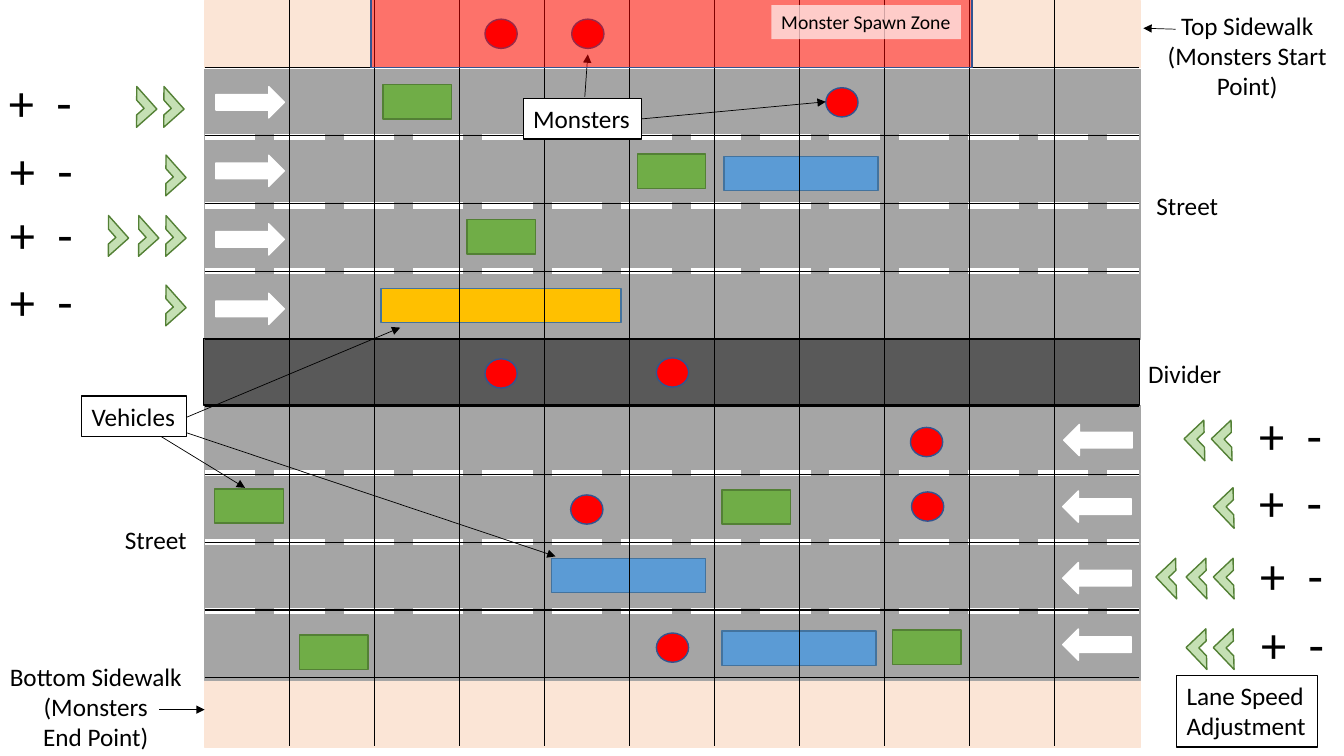
from lxml.etree import SubElement
from pptx import Presentation
from pptx.dml.color import RGBColor
from pptx.enum.dml import MSO_LINE
from pptx.enum.shapes import MSO_CONNECTOR, MSO_SHAPE as Preset
from pptx.enum.text import MSO_ANCHOR, MSO_AUTO_SIZE, PP_ALIGN
from pptx.oxml.ns import qn
from pptx.util import Inches, Pt

BLACK = RGBColor(0x00, 0x00, 0x00)
WHITE = RGBColor(0xFF, 0xFF, 0xFF)
ASPHALT = RGBColor(0xA5, 0xA5, 0xA5)
DIVIDER = RGBColor(0x59, 0x59, 0x59)
SIDEWALK = RGBColor(0xFB, 0xE5, 0xD6)
RED = RGBColor(0xFF, 0x00, 0x00)
NAVY = RGBColor(0x32, 0x54, 0x91)
GREEN = RGBColor(0x70, 0xAD, 0x47)
DARK_GREEN = RGBColor(0x53, 0x80, 0x35)
PALE_GREEN = RGBColor(0xC5, 0xE0, 0xB4)
BLUE = RGBColor(0x5B, 0x9B, 0xD5)
DARK_BLUE = RGBColor(0x43, 0x73, 0x9E)
YELLOW = RGBColor(0xFF, 0xC0, 0x00)

ROAD_LEFT, ROAD_RIGHT, ROAD_WIDTH = 2.03, 11.3, 9.28
GRID_COUNT, GRID_WIDTH, GRID_HEIGHT = 11, 9.27, 7.4
LANE_HEIGHT = 0.68
PLAIN_TABLE_STYLE = "{2D5ABB26-0587-4C30-8999-92F81FD0307C}"

# lane top, arrow left and top, speed sign left and top, chevron top and lefts
EASTBOUND = [
    (0.69, 2.14, 0.86, -0.01, 0.66, 0.91, [1.49, 1.22]),
    (1.36, 2.14, 1.54, 0, 1.33, 1.59, [1.51]),
    (2.04, 2.14, 2.22, 0, 1.97, 2.19, [1.51, 1.24, 0.94]),
    (2.69, 2.14, 2.91, 0, 2.63, 2.88, [1.51]),
]
WESTBOUND = [
    (4.02, 10.55, 4.21, 12.39, 3.96, 4.22, [12.08, 11.81]),
    (4.71, 10.54, 4.87, 12.39, 4.62, 4.89, [12.1]),
    (5.4, 10.54, 5.58, 12.4, 5.35, 5.59, [12.1, 11.83, 11.53]),
    (6.07, 10.54, 6.24, 12.41, 6.03, 6.29, [12.1, 11.83]),
]
LANE_MARKINGS = [1.36, 2.04, 2.69, 4.69, 5.38, 6.06]
CARS = [(2.97, 6.3), (3.8, 0.84), (8.85, 6.25), (2.13, 4.85),
        (7.16, 4.86), (6.32, 1.53), (4.63, 2.18)]
TRUCKS = [(7.18, 1.55), (5.47, 5.54), (7.16, 6.26)]
BUSES = [(3.78, 2.86)]
FLEET = [(CARS, 0.68, GREEN, DARK_GREEN), (TRUCKS, 1.53, BLUE, DARK_BLUE),
         (BUSES, 2.38, YELLOW, DARK_BLUE)]
MONSTERS = [(6.51, 3.55), (6.51, 6.28), (9.03, 4.24), (9.04, 4.88), (5.66, 4.91),
            (4.81, 3.56), (8.19, 0.87), (5.67, 0.19), (4.81, 0.19)]
POINTERS = [
    ((1.58, 4.32), (2.43, 4.84)), ((1.81, 4.28), (5.51, 5.52)),
    ((1.85, 4.14), (3.97, 3.25)), ((11.66, 0.29), (11.34, 0.28)),
    ((1.58, 7.04), (2.03, 7.04)), ((5.8, 0.96), (5.83, 0.54)),
    ((6.36, 1.18), (8.19, 1.01)),
]


def add_block(slide, preset, box, fill, line=None, rotation=0, opacity=100):
    block = slide.shapes.add_shape(preset, *map(Inches, box))
    block.shadow.inherit = False
    block.rotation = rotation
    block.fill.solid()
    block.fill.fore_color.rgb = fill
    if opacity < 100:
        color = block.fill._xPr.find(qn("a:solidFill"))[0]
        SubElement(color, qn("a:alpha"), val=str(opacity * 1000))
    if line is None:
        block.line.fill.background()
    else:
        block.line.color.rgb = line
        block.line.width = Pt(1)
    return block


def write(holder, text, size=18, align=PP_ALIGN.LEFT, wrap=False, spacing=0):
    frame = holder.text_frame
    frame.word_wrap = wrap
    frame.auto_size = MSO_AUTO_SIZE.SHAPE_TO_FIT_TEXT
    frame.vertical_anchor = MSO_ANCHOR.TOP
    for index, wording in enumerate(text.split("\n")):
        paragraph = frame.add_paragraph() if index else frame.paragraphs[0]
        paragraph.alignment = align
        run = paragraph.add_run()
        run.text = wording
        run.font.name = "Calibri"
        run.font.size = Pt(size)
        run.font.color.rgb = BLACK
        if spacing:
            run._r.get_or_add_rPr().set("spc", str(spacing * 100))


def add_label(slide, box, text, **style):
    write(slide.shapes.add_textbox(*map(Inches, box)), text, **style)


def add_boxed_label(slide, box, text):
    write(add_block(slide, Preset.RECTANGLE, box, WHITE, BLACK), text)


def add_line(slide, start, end, color, width, dash=None, arrow=False):
    line = slide.shapes.add_connector(MSO_CONNECTOR.STRAIGHT, *map(Inches, start + end))
    line.line.color.rgb = color
    line.line.width = Pt(width)
    if dash is not None:
        line.line.dash_style = dash
    if arrow:
        SubElement(line.line._get_or_add_ln(), qn("a:tailEnd"), type="triangle")
    SubElement(line._element.spPr, qn("a:effectLst"))


def add_lane_controls(slide, lanes, arrow_turn, chevron_turn):
    for _, arrow_x, arrow_y, sign_x, sign_y, chevron_y, chevrons in lanes:
        add_block(slide, Preset.RIGHT_ARROW, (arrow_x, arrow_y, 0.68, 0.31),
                  WHITE, WHITE, arrow_turn)
        add_label(slide, (sign_x, sign_y, 0.83, 0.71), "+ -", size=36, spacing=4)
        for chevron_x in chevrons:
            add_block(slide, Preset.HALF_FRAME, (chevron_x, chevron_y, 0.27, 0.3),
                      PALE_GREEN, DARK_GREEN, chevron_turn)


def add_grid(slide):
    frame = slide.shapes.add_table(GRID_COUNT, GRID_COUNT, Inches(ROAD_LEFT), 0,
                                   Inches(GRID_WIDTH), Inches(GRID_HEIGHT))
    grid = frame.table
    grid.first_row = grid.horz_banding = False
    grid._tbl.tblPr.find(qn("a:tableStyleId")).text = PLAIN_TABLE_STYLE
    last = GRID_COUNT - 1
    for row in range(GRID_COUNT):
        for column in range(GRID_COUNT):
            cell = grid.cell(row, column)
            inner_sides = {"lnL": column > 0, "lnR": column < last,
                           "lnT": row > 0, "lnB": row < last}
            properties = cell._tc.get_or_add_tcPr()
            for side, inner in inner_sides.items():
                border = SubElement(properties, qn("a:" + side), w=str(Pt(1)))
                if inner:
                    paint = SubElement(border, qn("a:solidFill"))
                    SubElement(paint, qn("a:srgbClr"), val=str(BLACK))
                else:
                    SubElement(border, qn("a:noFill"))
            cell.fill.background()


def add_road(slide):
    for top, height in [(0.01, 0.66), (6.76, 0.65)]:
        add_block(slide, Preset.RECTANGLE, (ROAD_LEFT, top, ROAD_WIDTH, height),
                  SIDEWALK, SIDEWALK)
    for top, *_ in EASTBOUND + WESTBOUND:
        add_block(slide, Preset.RECTANGLE, (ROAD_LEFT, top, ROAD_WIDTH, LANE_HEIGHT),
                  ASPHALT, ASPHALT)
    for y in LANE_MARKINGS:
        add_line(slide, (ROAD_LEFT, y), (ROAD_RIGHT, y), WHITE, 4.5, MSO_LINE.LONG_DASH)
    add_block(slide, Preset.RECTANGLE, (2.02, 3.36, ROAD_WIDTH, 0.66), DIVIDER, BLACK)


def main():
    deck = Presentation()
    deck.slide_width, deck.slide_height = Inches(13.33), Inches(7.5)
    slide = deck.slides.add_slide(deck.slide_layouts[6])

    add_road(slide)
    add_lane_controls(slide, EASTBOUND, 0, 138.3)
    add_lane_controls(slide, WESTBOUND, 180, 316.5)
    for places, length, fill, line in FLEET:
        for x, y in places:
            add_block(slide, Preset.RECTANGLE, (x, y, length, 0.34), fill, line)
    for x, y in MONSTERS:
        add_block(slide, Preset.OVAL, (x, y, 0.32, 0.29), RED, NAVY)
    add_grid(slide)

    add_label(slide, (-0.07, 6.51, 2.04, 1.01), "Bottom Sidewalk (Monsters\nEnd Point)",
              align=PP_ALIGN.CENTER, wrap=True)
    add_label(slide, (11.35, 0.05, 2.04, 1.01), "Top Sidewalk\n(Monsters Start Point)",
              align=PP_ALIGN.CENTER, wrap=True)
    add_label(slide, (1.14, 5.15, 0.82, 0.4), "Street")
    add_label(slide, (11.37, 1.84, 0.82, 0.4), "Street")
    add_label(slide, (11.29, 3.51, 0.93, 0.4), "Divider")
    for start, end in POINTERS:
        add_line(slide, start, end, BLACK, 0.5, arrow=True)
    add_boxed_label(slide, (11.67, 6.7, 1.4, 0.71), "Lane Speed\nAdjustment")
    add_boxed_label(slide, (0.81, 3.93, 1.04, 0.4), "Vehicles")
    add_boxed_label(slide, (5.19, 0.98, 1.17, 0.4), "Monsters")

    add_block(slide, Preset.RECTANGLE, (3.68, -0.01, 5.96, 0.68), RED, NAVY, opacity=50)
    spawn_tag = add_block(slide, Preset.RECTANGLE, (7.65, 0.05, 1.88, 0.34), WHITE, opacity=64)
    write(spawn_tag, "Monster Spawn Zone", size=14, wrap=True)
    deck.save("out.pptx")


main()
